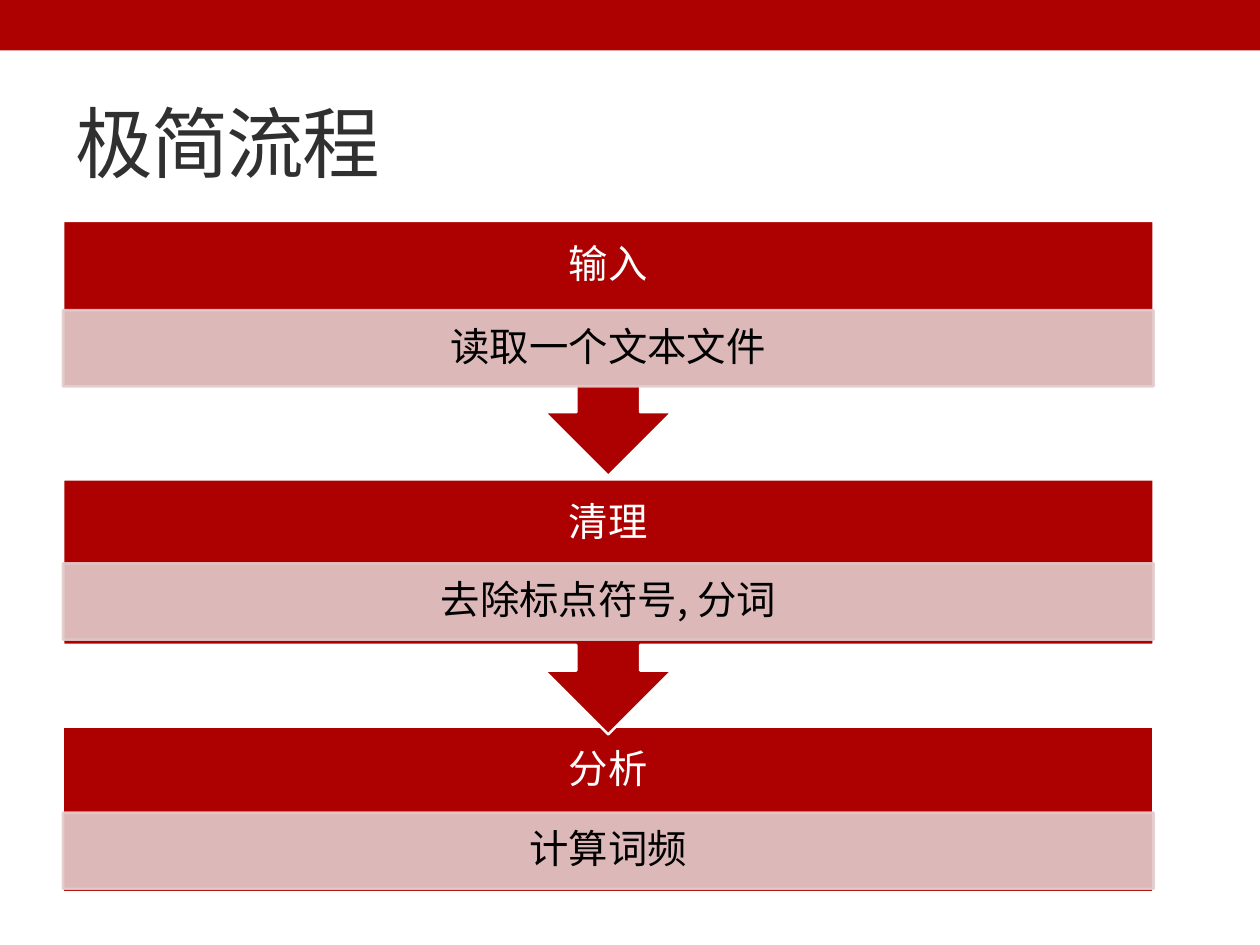
import pptx
import pptx.dml.color
import pptx.enum.shapes
import pptx.enum.text
import pptx.oxml.ns
import pptx.util
import lxml.etree

Pt = pptx.util.Pt
SHAPES = pptx.enum.shapes.MSO_SHAPE
ALIGN = pptx.enum.text.PP_ALIGN

FONT = "Noto Sans CJK SC"
RED, PINK, WHITE, BLACK, GRAY = "AD0101", "E3CCCC", "FFFFFF", "000000", "303030"
TITLE = "极简流程"
STEPS = [
    {"heading": "输入", "detail": "读取一个文本文件", "top": 179.5, "detail_top": 252},
    {"heading": "清理", "detail": "去除标点符号, 分词", "top": 389.5, "detail_top": 457.8},
    {"heading": "分析", "detail": "计算词频", "top": 590.4, "detail_top": 660.4},
]
SLIDE_WIDTH, SLIDE_HEIGHT = 1024, 768
LEFT, WIDTH = 51.2, 886.3
CALLOUT_HEIGHT, BOX_HEIGHT = 207.3, 134.7
HEADING_HEIGHT, DETAIL_HEIGHT = 72.7, 62
LINE_WIDTH = 2.08


def color(value):
    return pptx.dml.color.RGBColor.from_string(value)


def add_alpha(element, percent):
    for color_element in element.iter(pptx.oxml.ns.qn("a:srgbClr")):
        alpha = lxml.etree.SubElement(color_element, pptx.oxml.ns.qn("a:alpha"))
        alpha.set("val", str(percent * 1000))


def add_block(slide, kind, left, top, width, height, fill, line=None):
    shape = slide.shapes.add_shape(kind, Pt(left), Pt(top), Pt(width), Pt(height))
    shape.shadow.inherit = False
    shape.fill.solid()
    shape.fill.fore_color.rgb = color(fill)
    if line:
        shape.line.color.rgb = color(line)
        shape.line.width = Pt(LINE_WIDTH)
    else:
        shape.line.fill.background()
    return shape


def write(shape, text, size, font_color, align, side, edge, line_spacing=None, tracking=None):
    frame = shape.text_frame
    frame.word_wrap = True
    frame.vertical_anchor = pptx.enum.text.MSO_ANCHOR.MIDDLE
    frame.margin_left = frame.margin_right = Pt(side)
    frame.margin_top = frame.margin_bottom = Pt(edge)
    paragraph = frame.paragraphs[0]
    paragraph.alignment = align
    paragraph.line_spacing = line_spacing
    run = paragraph.add_run()
    run.text = text
    run.font.size = Pt(size)
    run.font.name = FONT
    run.font.color.rgb = color(font_color)
    properties = run.font._element
    east_asian = lxml.etree.SubElement(properties, pptx.oxml.ns.qn("a:ea"))
    east_asian.set("typeface", FONT)
    if tracking:
        properties.set("spc", str(round(tracking * 100)))


def add_label(slide, left, top, width, height, *text_options):
    box = slide.shapes.add_textbox(Pt(left), Pt(top), Pt(width), Pt(height))
    write(box, *text_options)


def add_step(slide, step, is_last):
    kind = SHAPES.RECTANGLE if is_last else SHAPES.DOWN_ARROW_CALLOUT
    height = BOX_HEIGHT if is_last else CALLOUT_HEIGHT
    add_block(slide, kind, LEFT, step["top"], WIDTH, height, RED, WHITE)
    add_label(slide, LEFT, step["top"], WIDTH, HEADING_HEIGHT,
              step["heading"], 32, WHITE, ALIGN.CENTER, 18, 18, 0.9)
    detail = add_block(slide, SHAPES.RECTANGLE, LEFT, step["detail_top"],
                       WIDTH, DETAIL_HEIGHT, PINK, PINK)
    add_alpha(detail._element.spPr, 90)
    write(detail, step["detail"], 32, BLACK, ALIGN.CENTER, 18, 3, 0.9)


def main():
    presentation = pptx.Presentation()
    presentation.slide_width = Pt(SLIDE_WIDTH)
    presentation.slide_height = Pt(SLIDE_HEIGHT)
    slide = presentation.slides.add_slide(presentation.slide_layouts[6])
    add_block(slide, SHAPES.RECTANGLE, 0, 0, SLIDE_WIDTH, 41, RED)
    add_label(slide, LEFT, 59.8, 921.6, 110.9,
              TITLE, 63, GRAY, ALIGN.LEFT, 10, 5, None, -1.4)
    for step in reversed(STEPS):
        add_step(slide, step, step is STEPS[-1])
    presentation.save("out.pptx")


if __name__ == "__main__":
    main()
